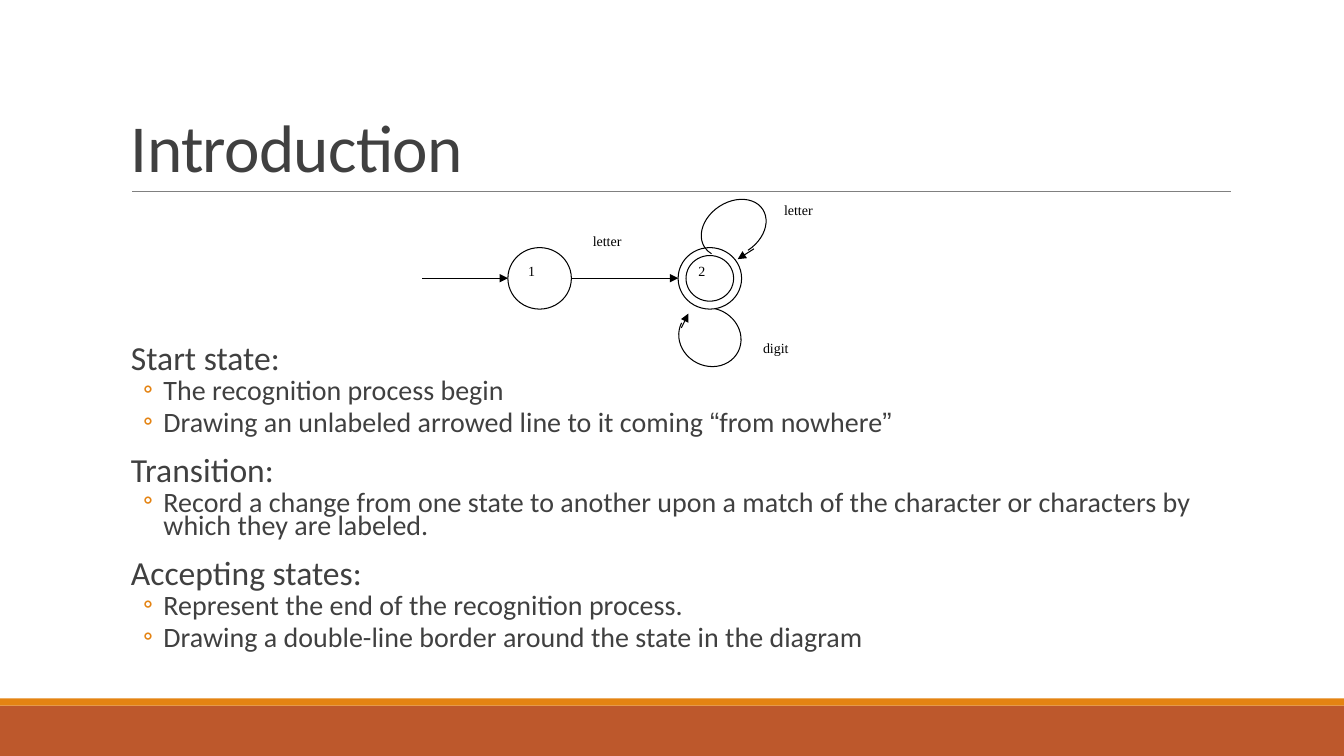
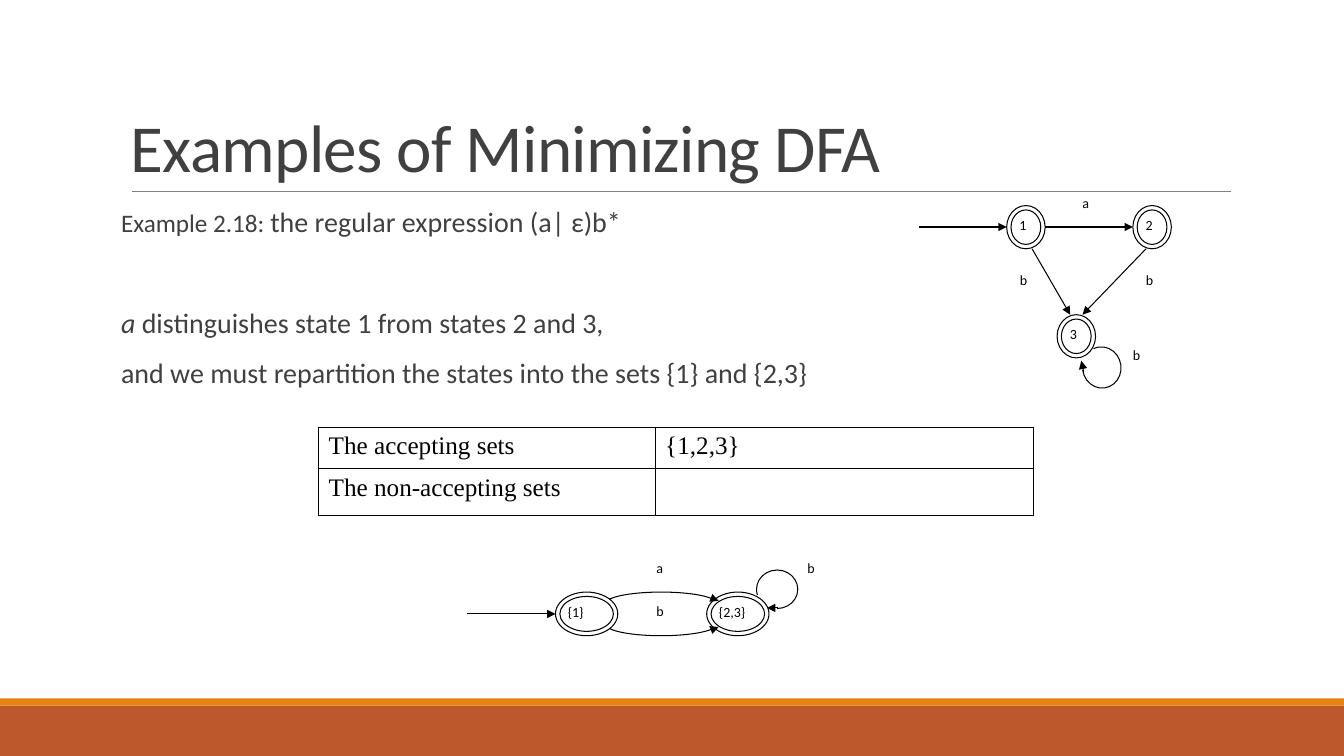
import lxml.etree
import pptx
import pptx.dml.color
import pptx.enum.shapes
import pptx.enum.text
import pptx.oxml.ns
import pptx.util

Cm, Pt = pptx.util.Cm, pptx.util.Pt
SHAPE = pptx.enum.shapes.MSO_SHAPE
ANCHOR = pptx.enum.text.MSO_ANCHOR
ALIGN = pptx.enum.text.PP_ALIGN

COLORS = {
    "white": "FFFFFF",
    "black": "000000",
    "text": "404040",
    "rule": "808080",
    "orange": "E48312",
    "rust": "BD582C",
}
SANS, SERIF = "Calibri", "Times New Roman"
SLIDE_W, SLIDE_H = 33.87, 19.05


def rgb(name):
    return pptx.dml.color.RGBColor.from_string(COLORS[name])


def sub(parent, tag, **attrs):
    return lxml.etree.SubElement(parent, pptx.oxml.ns.qn(tag), attrs)


def cm_box(*lengths):
    return [Cm(length) for length in lengths]


def write(p, text, size=20, font=SANS, color="text", italic=None, spacing=None):
    """Add a run; spacing is the letter spacing in points."""
    r = p.add_run()
    r.text = text
    r.font.size = Pt(size)
    r.font.name = font
    r.font.color.rgb = rgb(color)
    r.font.italic = italic
    if spacing is not None:
        r.font._element.set("spc", str(int(spacing * 100)))


def set_insets(tf, x, y):
    tf.margin_left = tf.margin_right = Cm(x)
    tf.margin_top = tf.margin_bottom = Cm(y)


def place(sp, box):
    sp.left, sp.top, sp.width, sp.height = cm_box(*box)


def style_shape(sp, fill=None, line=None, width=0.75):
    sp.shadow.inherit = False
    if fill:
        sp.fill.solid()
        sp.fill.fore_color.rgb = rgb(fill)
    else:
        sp.fill.background()
    if line:
        sp.line.color.rgb = rgb(line)
        sp.line.width = Pt(width)
    else:
        sp.line.fill.background()


def add_line(shapes, x1, y1, x2, y2, color="black", width=0.75, arrow=False):
    straight = pptx.enum.shapes.MSO_CONNECTOR.STRAIGHT
    line = shapes.add_connector(straight, *cm_box(x1, y1, x2, y2))
    line.line.color.rgb = rgb(color)
    line.line.width = Pt(width)
    props = line._element.spPr
    if arrow:
        sub(props.find(pptx.oxml.ns.qn("a:ln")), "a:tailEnd", type="triangle")
    sub(props, "a:effectLst")


def add_slide(prs, title):
    """Add a slide with the shared title, rule and bottom bands."""
    s = prs.slides.add_slide(prs.slide_layouts[1])
    for top, height, color in ((17.78, 1.27, "rust"), (17.6, 0.18, "orange")):
        band = s.shapes.add_shape(SHAPE.RECTANGLE, *cm_box(0, top, SLIDE_W, height))
        style_shape(band, color)
    add_line(s.shapes, 3.33, 4.83, 31.01, 4.83, "rule", 0.5)
    place(s.shapes.title, (3.05, 0.79, 27.94, 4.04))
    tf = s.shapes.title.text_frame
    tf.auto_size = pptx.enum.text.MSO_AUTO_SIZE.NONE
    tf.vertical_anchor = ANCHOR.BOTTOM
    set_insets(tf, 0.25, 0.13)
    p = tf.paragraphs[0]
    p.alignment = ALIGN.LEFT
    p.line_spacing = 0.85
    write(p, title, size=48, spacing=-0.5)
    return s


def add_body(s, box, paragraphs, line_spacing):
    """Fill the body; each paragraph is (runs, layout), each run (text, format)."""
    body = s.placeholders[1]
    place(body, box)
    tf = body.text_frame
    tf.auto_size = pptx.enum.text.MSO_AUTO_SIZE.NONE
    tf.vertical_anchor = ANCHOR.TOP
    set_insets(tf, 0, 0.13)
    for i, (runs, layout) in enumerate(paragraphs):
        p = tf.paragraphs[0] if i == 0 else tf.add_paragraph()
        bullet = layout.get("bullet", False)
        props = p._p.get_or_add_pPr()
        props.set("marL", str(Cm(1.07 if bullet else layout.get("left", 0))))
        props.set("indent", str(Cm(-0.51 if bullet else 0)))
        if bullet:
            p.level = 1
            sub(sub(props, "a:buClr"), "a:srgbClr", val=COLORS["orange"])
            sub(props, "a:buFont", typeface=SANS)
            sub(props, "a:buChar", char="◦")
        else:
            sub(props, "a:buNone")
        p.alignment = ALIGN.LEFT
        p.line_spacing = line_spacing
        p.space_before = Pt(0 if i == 0 else layout.get("before", 2 if bullet else 12))
        p.space_after = Pt(4 if bullet else 2)
        for text, fmt in runs:
            write(p, text, **fmt)


class Automaton:
    """A grouped state diagram, measured in cm from its top left corner."""

    def __init__(self, s, left, top, state_size, ring, label_offset, font=SANS):
        self.shapes = s.shapes.add_group_shape().shapes
        self.left, self.top = left, top
        self.state_size, self.ring = state_size, ring
        self.label_offset, self.font = label_offset, font

    def shape(self, kind, x, y, w, h):
        return self.shapes.add_shape(kind, *cm_box(self.left + x, self.top + y, w, h))

    def label(self, text, x, y):
        box = cm_box(self.left + x, self.top + y, 1.2, 0.5)
        tf = self.shapes.add_textbox(*box).text_frame
        tf.word_wrap = False
        set_insets(tf, 0, 0)
        write(tf.paragraphs[0], text, size=10, font=self.font, color="black")

    def state(self, text, x, y, accepting=True):
        w, h = self.state_size
        sp = self.shape(SHAPE.DONUT if accepting else SHAPE.OVAL, x, y, w, h)
        if accepting:
            sp.adjustments[0] = self.ring / min(w, h)
        style_shape(sp, "white", "black")
        dx, dy = self.label_offset
        self.label(text, x + dx, y + dy)

    def arrow(self, x1, y1, x2, y2):
        add_line(self.shapes, self.left + x1, self.top + y1,
                 self.left + x2, self.top + y2, arrow=True)

    def arc(self, box, start, end, tip, rotation=0):
        """Draw an arc clockwise between angles in degrees, with an arrow tip."""
        sp = self.shape(SHAPE.ARC, *box)
        sp.adjustments[0] = start * 0.6
        sp.adjustments[1] = end * 0.6
        sp.rotation = rotation
        style_shape(sp, line="black")
        self.arrow(*tip)

    def loop(self, box, rotation, tip):
        self.arc(box, 74, 0, tip, rotation)


def draw_identifier_dfa(s, left, top):
    d = Automaton(s, left, top, (1.6, 1.55), 0.2, (0.51, 0.38), SERIF)
    d.arrow(0, 2.13, 2.16, 2.13)
    d.state("1", 2.16, 1.36, accepting=False)
    d.arrow(3.76, 2.13, 6.45, 2.13)
    d.state("2", 6.45, 1.36)
    d.loop((7.19, 0, 1.32, 1.75), 57, (8.36, 1.39, 7.95, 1.65))
    d.loop((6.45, 2.89, 1.6, 1.45), 206.8, (6.53, 3.38, 6.71, 3.02))
    for text, x, y in (("letter", 4.3, 0.99), ("letter", 9.12, 0.2), ("digit", 8.59, 3.68)):
        d.label(text, x, y)


def draw_three_state_dfa(s, left, top):
    d = Automaton(s, left, top, (0.97, 1.09), 0.11, (0.32, 0.27))
    d.loop((4.12, 3.84, 0.97, 1.04), 172.3, (4.15, 4.47, 4.09, 4.19))
    for text, x, y in (("1", 2.21, 0.28), ("2", 5.39, 0.28), ("3", 3.48, 3.03)):
        d.state(text, x, y)
    d.arrow(0, 0.82, 2.21, 0.82)
    d.arrow(3.18, 0.82, 5.39, 0.82)
    d.arrow(2.85, 1.37, 3.81, 3.03)
    d.arrow(5.72, 1.37, 4.12, 3.03)
    for text, x, y in (("a", 4.12, 0), ("b", 2.54, 1.93), ("b", 5.72, 1.93), ("b", 5.39, 3.84)):
        d.label(text, x, y)


def draw_minimized_dfa(s, left, top):
    d = Automaton(s, left, top, (1.57, 1.1), 0.11, (0.31, 0.28))
    d.loop((7.34, 0.23, 0.97, 1.04), 90, (7.85, 1.22, 7.57, 1.22))
    d.state("{2,3}", 6.05, 0.82)
    d.arc((3.51, 0.82, 2.79, 0.56), 182, 356, (6.22, 0.99, 6.35, 1.04))
    d.arc((3.51, 1.36, 2.79, 0.56), 4, 178, (6.22, 1.75, 6.35, 1.7))
    d.state("{1}", 2.24, 0.82)
    d.arrow(0, 1.37, 2.24, 1.37)
    for text, x, y in (("b", 8.59, 0), ("b", 4.78, 1.09), ("a", 4.78, 0)):
        d.label(text, x, y)


def add_sets_table(s, left, top, col_widths, row_heights, rows):
    box = cm_box(left, top, sum(col_widths), sum(row_heights))
    table = s.shapes.add_table(len(rows), len(col_widths), *box).table
    table.first_row = table.horz_banding = False
    for column, width in zip(table.columns, col_widths):
        column.width = Cm(width)
    for i, (height, texts) in enumerate(zip(row_heights, rows)):
        table.rows[i].height = Cm(height)
        for j, text in enumerate(texts):
            cell = table.cell(i, j)
            props = cell._tc.get_or_add_tcPr()
            for side in ("a:lnL", "a:lnR", "a:lnT", "a:lnB"):
                border = sub(props, side, w=str(Pt(1)))
                sub(sub(border, "a:solidFill"), "a:srgbClr", val=COLORS["black"])
            cell.fill.background()
            if text:
                write(cell.text_frame.paragraphs[0], text, size=18, font=SERIF, color="black")


def build_introduction(prs):
    def heading(text):
        return [(text, {"size": 24})], {"left": 0.25}

    def item(*runs):
        return [r if isinstance(r, tuple) else (r, {}) for r in runs], {"bullet": True}

    arial = {"font": "Arial"}
    s = add_slide(prs, "Introduction")
    add_body(s, (3.05, 8.64, 27.94, 8), [
        heading("Start state:"),
        item("The recognition process begin"),
        item("Drawing an unlabeled arrowed line to it coming ",
             ("“", arial), "from nowhere", ("”", arial)),
        heading("Transition:"),
        item("Record a change from one state to another upon a match of the "
             "character or characters by which they are labeled."),
        heading("Accepting states:"),
        item("Represent the end of the recognition process."),
        item("Drawing a double-line border around the state in the diagram"),
    ], 0.7)
    draw_identifier_dfa(s, 10.64, 4.88)


def build_minimizing(prs):
    s = add_slide(prs, "Examples of Minimizing DFA")
    add_body(s, (3.05, 5.13, 27.94, 11.18), [
        ([("Example 2.18: ", {"size": 18}), ("the regular expression (a| ε)b*", {})], {}),
        ([("a ", {"italic": True}), ("distinguishes state 1 from states 2 and 3,", {})],
         {"before": 48}),
        ([("and we must repartition the states into the sets {1} and {2,3}", {})], {}),
    ], 0.9)
    draw_three_state_dfa(s, 23.16, 4.9)
    add_sets_table(s, 8.03, 10.77, (8.48, 9.53), (1.04, 1.17),
                   (("The accepting sets", "{1,2,3}"), ("The non-accepting sets", "")))
    draw_minimized_dfa(s, 11.76, 14.1)


def main():
    prs = pptx.Presentation()
    prs.slide_width, prs.slide_height = cm_box(SLIDE_W, SLIDE_H)
    build_introduction(prs)
    build_minimizing(prs)
    prs.save("out.pptx")


if __name__ == "__main__":
    main()
